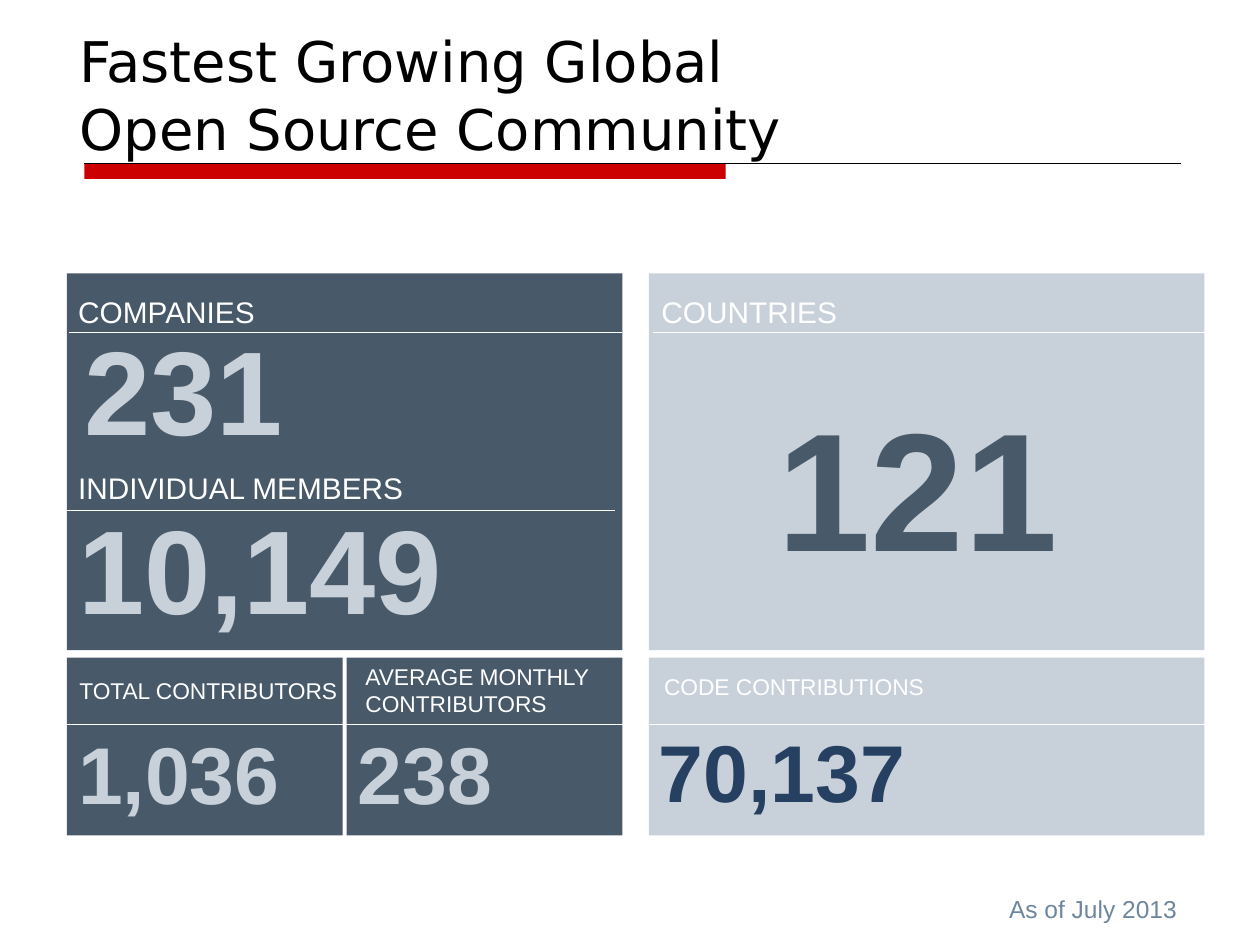
from dataclasses import dataclass

from lxml.etree import SubElement
from pptx import Presentation
from pptx.dml.color import RGBColor
from pptx.enum.shapes import MSO_CONNECTOR, MSO_SHAPE
from pptx.enum.text import MSO_ANCHOR, MSO_AUTO_SIZE, PP_ALIGN
from pptx.oxml.ns import qn
from pptx.util import Inches, Pt


@dataclass(frozen=True)
class Theme:
    title_font: str = "DejaVu Sans"
    body_font: str = "Arial"
    black: str = "000000"
    white: str = "FFFFFF"
    red: str = "CC0000"
    slate: str = "48596A"
    mist: str = "C8D1DA"
    navy: str = "254061"
    steel: str = "6E869D"
    title_size: int = 32
    heading_size: int = 17
    label_size: int = 13
    date_size: int = 14
    small_figure: int = 46
    large_figure: int = 68
    huge_figure: int = 96


class SlideBuilder:
    def __init__(self, slide, theme):
        self.slide = slide
        self.theme = theme

    def style_text(self, frame, font, size, color, bold=False, spacing=None):
        for paragraph in frame.paragraphs:
            paragraph.alignment = PP_ALIGN.LEFT
            if spacing:
                paragraph.line_spacing = spacing
            for run in paragraph.runs:
                run.font.name = font
                run.font.size = Pt(size)
                run.font.bold = bold
                run.font.color.rgb = RGBColor.from_string(color)

    def title(self, text, left, top, width, height):
        title = self.slide.shapes.title
        title.left, title.top = Inches(left), Inches(top)
        title.width, title.height = Inches(width), Inches(height)
        frame = title.text_frame
        frame.text = text
        frame.word_wrap = True
        frame.auto_size = MSO_AUTO_SIZE.NONE
        frame.vertical_anchor = MSO_ANCHOR.BOTTOM
        self.style_text(frame, self.theme.title_font, self.theme.title_size, self.theme.black)

    def panel(self, left, top, width, height, color):
        panel = self.slide.shapes.add_shape(
            MSO_SHAPE.RECTANGLE, Inches(left), Inches(top), Inches(width), Inches(height))
        panel.shadow.inherit = False
        panel.fill.solid()
        panel.fill.fore_color.rgb = RGBColor.from_string(color)
        panel.line.fill.background()

    def rule(self, left, right, y, color):
        rule = self.slide.shapes.add_connector(
            MSO_CONNECTOR.STRAIGHT, Inches(left), Inches(y), Inches(right), Inches(y))
        rule.line.color.rgb = RGBColor.from_string(color)
        rule.line.width = Pt(0.75)
        SubElement(rule._element.spPr, qn("a:effectLst"))

    def text(self, text, left, top, width, height, size, color,
             bold=False, spacing=None, insets=(0.07, 0.04)):
        box = self.slide.shapes.add_textbox(
            Inches(left), Inches(top), Inches(width), Inches(height))
        frame = box.text_frame
        frame.word_wrap = True
        frame.margin_left = frame.margin_right = Inches(insets[0])
        frame.margin_top = frame.margin_bottom = Inches(insets[1])
        frame.text = text
        self.style_text(frame, self.theme.body_font, size, color, bold, spacing)


def main():
    presentation = Presentation()
    presentation.slide_width, presentation.slide_height = Inches(10), Inches(7.5)
    theme = Theme()
    builder = SlideBuilder(
        presentation.slides.add_slide(presentation.slide_layouts[5]), theme)

    builder.panel(0.67, 1.3, 5.09, 0.12, theme.red)
    builder.rule(0.67, 9.37, 1.3, theme.black)
    builder.title("Fastest Growing Global \vOpen Source Community", 0.53, 0.08, 7.82, 1.25)

    left_column, middle_column, right_column = 0.53, 2.75, 5.15
    full_width, half_width = 4.41, 2.19
    upper_row, upper_height = 2.17, 2.99
    lower_row, lower_height = 5.22, 1.41
    for left, top, width, height, color in (
        (left_column, upper_row, full_width, upper_height, theme.slate),
        (right_column, upper_row, full_width, upper_height, theme.mist),
        (left_column, lower_row, half_width, lower_height, theme.slate),
        (middle_column, lower_row, half_width, lower_height, theme.slate),
        (right_column, lower_row, full_width, lower_height, theme.mist),
    ):
        builder.panel(left, top, width, height, color)

    for heading, left, top in (
        ("COMPANIES", 0.55, 2.29),
        ("INDIVIDUAL MEMBERS", 0.55, 3.69),
        ("COUNTRIES", 5.18, 2.29),
    ):
        builder.text(heading, left, top, 2.93, 0.35, theme.heading_size, theme.white)

    for label, left, top, width, height in (
        ("TOTAL CONTRIBUTORS", 0.56, 5.33, 2.21, 0.29),
        ("AVERAGE MONTHLY \vCONTRIBUTORS", 2.83, 5.22, 1.99, 0.72),
        ("CODE CONTRIBUTIONS", 5.2, 5.3, 3.05, 0.29),
    ):
        builder.text(label, left, top, width, height, theme.label_size, theme.white)

    for figure, left, top, width, color in (
        ("1,036", 0.55, 5.71, 2.17, theme.mist),
        ("238", 2.77, 5.71, 2.17, theme.mist),
        ("70,137", 5.16, 5.69, 4.45, theme.navy),
    ):
        builder.text(figure, left, top, width, 0.84, theme.small_figure, color, bold=True)

    for figure, left, top, width, height in (
        ("231", 0.6, 2.78, 3.63, 2),
        ("10,149", 0.55, 4.2, 4.4, 0.86),
    ):
        builder.text(figure, left, top, width, height, theme.large_figure, theme.mist,
                     bold=True, spacing=0.7)
    builder.text("121", 6.1, 3, 2.74, 1.67, theme.huge_figure, theme.slate, bold=True)

    for left, right, y in (
        (0.55, 4.94, 2.64),
        (5.18, 9.57, 2.64),
        (0.49, 4.88, 4.05),
        (0.52, 9.77, 5.75),
    ):
        builder.rule(left, right, y, theme.white)

    builder.text("As of July 2013", 7.91, 7.05, 1.95, 0.34, theme.date_size, theme.steel,
                 insets=(0.1, 0.05))
    presentation.save("out.pptx")


if __name__ == "__main__":
    main()
